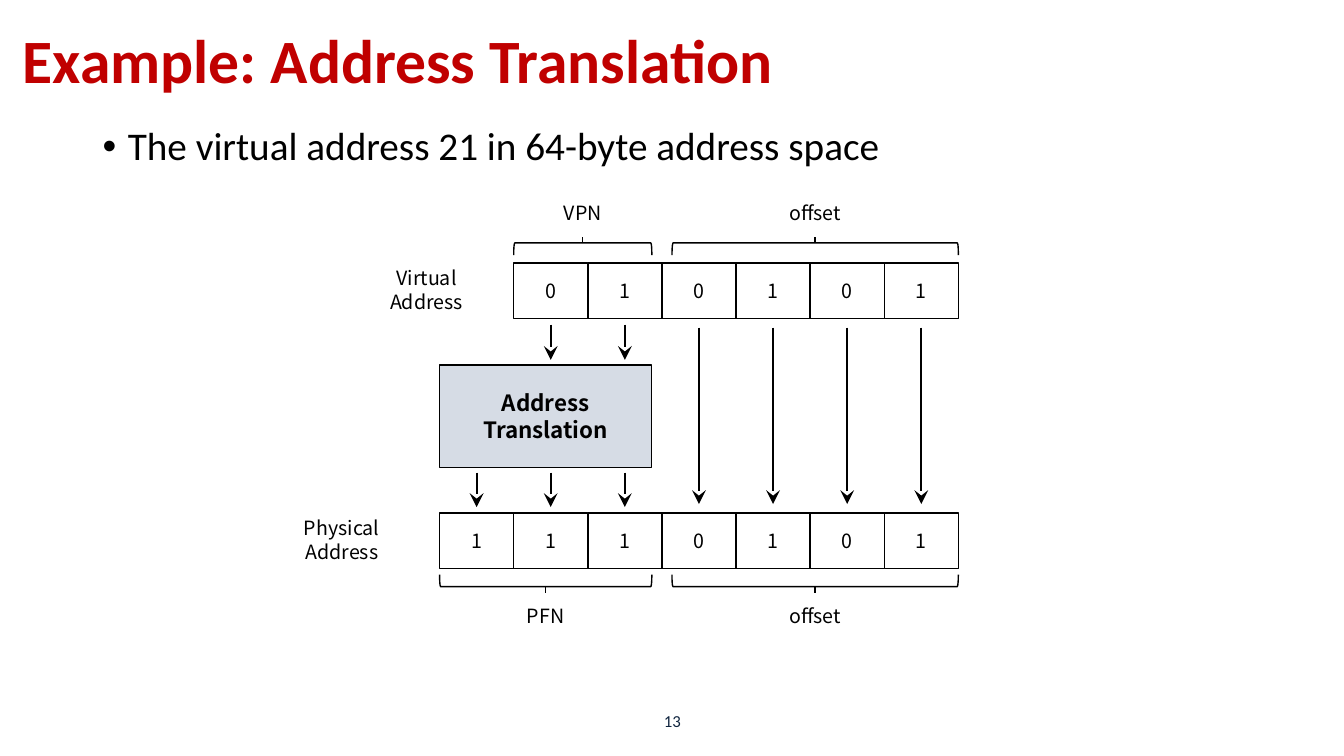
from lxml import etree
from pptx import Presentation
from pptx.dml.color import RGBColor
from pptx.enum.shapes import MSO_CONNECTOR, MSO_SHAPE
from pptx.enum.text import MSO_ANCHOR, PP_ALIGN
from pptx.oxml.ns import qn
from pptx.util import Inches, Pt

RED = RGBColor(0xC0, 0x00, 0x00)
BLACK = RGBColor(0x00, 0x00, 0x00)
WHITE = RGBColor(0xFF, 0xFF, 0xFF)
NAVY = RGBColor(0x10, 0x25, 0x3F)
PALE_BLUE = RGBColor(0xD6, 0xDC, 0xE5)
LEFT, CENTER = PP_ALIGN.LEFT, PP_ALIGN.CENTER
TOP, MIDDLE = MSO_ANCHOR.TOP, MSO_ANCHOR.MIDDLE
RECTANGLE, BRACKET = MSO_SHAPE.RECTANGLE, MSO_SHAPE.LEFT_BRACKET
STRAIGHT = MSO_CONNECTOR.STRAIGHT
HEADING_FONT, DIAGRAM_FONT = "Calibri", "Noto Sans CJK KR"

TITLE = "Example: Address Translation"
BULLET = "The virtual address 21 in 64-byte address space"
PAGE_NUMBER = "13"
TRANSLATOR = ["Address", "Translation"]
ADDRESSES = [
    {"name": ["Virtual", "Address"], "name_left": 3.52, "bits": "010101", "top": 2.61},
    {"name": ["Physical", "Address"], "name_left": 2.68, "bits": "1110101", "top": 5.09},
]
FIELDS = [
    {"name": "VPN", "columns": (1, 3), "above": True},
    {"name": "offset", "columns": (3, 7), "above": True},
    {"name": "PFN", "columns": (0, 3), "above": False},
    {"name": "offset", "columns": (3, 7), "above": False},
]
ARROWS = [
    {"columns": (1, 2), "span": (3.22, 3.57)},
    {"columns": (0, 1, 2), "span": (4.69, 5.03)},
    {"columns": (3, 4, 5, 6), "span": (3.25, 5.0)},
]

GRID_LEFT, COLUMN, ROW, COLUMNS = 4.36, 0.735, 0.55, 7
SPLIT, SPLIT_GAP = 3, 0.1
BRACKET_DEPTH, TICK = 0.12, 0.06

prs = Presentation()
prs.slide_width, prs.slide_height = Inches(13.33), Inches(7.5)
slide = prs.slides.add_slide(prs.slide_layouts[6])


def column_x(column):
    return GRID_LEFT + column * COLUMN


def field_edges(first, last):
    start = column_x(first) + (SPLIT_GAP if first == SPLIT else 0)
    end = column_x(last) - (SPLIT_GAP if last == SPLIT else 0)
    return start, end


def write(shape, lines, size, font=DIAGRAM_FONT, color=BLACK, bold=False,
          align=CENTER, anchor=TOP, spacing=None):
    frame = shape.text_frame
    frame.word_wrap = True
    frame.vertical_anchor = anchor
    frame.text = "\n".join(lines)
    for paragraph in frame.paragraphs:
        paragraph.alignment = align
        paragraph.line_spacing = spacing
        paragraph.font.name = font
        paragraph.font.size = Pt(size)
        paragraph.font.bold = bold
        paragraph.font.color.rgb = color
    return frame.paragraphs[0]


def add_text(box, lines, size, **style):
    return write(slide.shapes.add_textbox(*map(Inches, box)), lines, size, **style)


def add_outlined(kind, box):
    shape = slide.shapes.add_shape(kind, *map(Inches, box))
    shape.shadow.inherit = False
    shape.line.color.rgb = BLACK
    shape.line.width = Pt(1)
    return shape


def add_block(box, fill, lines, size, bold=False):
    block = add_outlined(RECTANGLE, box)
    block.fill.solid()
    block.fill.fore_color.rgb = fill
    write(block, lines, size, bold=bold, anchor=MIDDLE)


def add_vertical(x, start, end, width, arrow=False):
    line = slide.shapes.add_connector(STRAIGHT, *map(Inches, (x, start, x, end)))
    line.line.color.rgb = BLACK
    line.line.width = Pt(width)
    properties = line.line._get_or_add_ln()
    if arrow:
        etree.SubElement(properties, qn("a:tailEnd"), type="stealth", w="lg", len="lg")
    etree.SubElement(properties.getparent(), qn("a:effectLst"))


def add_field(name, columns, above):
    start, end = field_edges(*columns)
    middle, span = (start + end) / 2, end - start
    center_y, direction = (2.47, -1) if above else (5.76, 1)
    bracket = add_outlined(BRACKET, (middle - BRACKET_DEPTH / 2, center_y - span / 2,
                                     BRACKET_DEPTH, span))
    bracket.rotation = 90 if above else 270
    bracket.fill.background()
    back = center_y + direction * BRACKET_DEPTH / 2
    add_vertical(middle, back, back + direction * TICK, 1)
    add_text((middle - 0.47, 1.94 if above else 5.94, 0.94, 0.35), [name], 14)


add_text((0.13, 0.17, 11.5, 0.93), [TITLE], 44, font=HEADING_FONT, color=RED,
         bold=True, align=LEFT, anchor=MIDDLE, spacing=0.9)
bullet = add_text((0.92, 1.21, 11.5, 0.6), [BULLET], 28, font=HEADING_FONT,
                  align=LEFT, spacing=0.9)
bullet.space_before = Pt(10)
indents = bullet._p.get_or_add_pPr()
indents.set("marL", str(Inches(0.25)))
indents.set("indent", str(-Inches(0.25)))
etree.SubElement(indents, qn("a:buFont"), typeface="Arial")
etree.SubElement(indents, qn("a:buChar"), char="•")
indents.append(indents.find(qn("a:defRPr")))
add_text((4.42, 6.95, 4.5, 0.4), [PAGE_NUMBER], 12, font=HEADING_FONT,
         color=NAVY, anchor=MIDDLE)

for address in ADDRESSES:
    first = COLUMNS - len(address["bits"])
    for column, bit in enumerate(address["bits"], first):
        add_block((column_x(column), address["top"], COLUMN, ROW), WHITE, [bit], 14)
    add_text((address["name_left"], address["top"] - 0.02, 1.42, 0.59),
             address["name"], 14)

for field in FIELDS:
    add_field(**field)

box_left, box_right = field_edges(0, SPLIT)
add_block((box_left, 3.62, box_right - box_left, 1.02), PALE_BLUE, TRANSLATOR, 16, bold=True)

for group in ARROWS:
    for column in group["columns"]:
        add_vertical(column_x(column + 0.5), *group["span"], 1.5, arrow=True)

prs.save("out.pptx")
